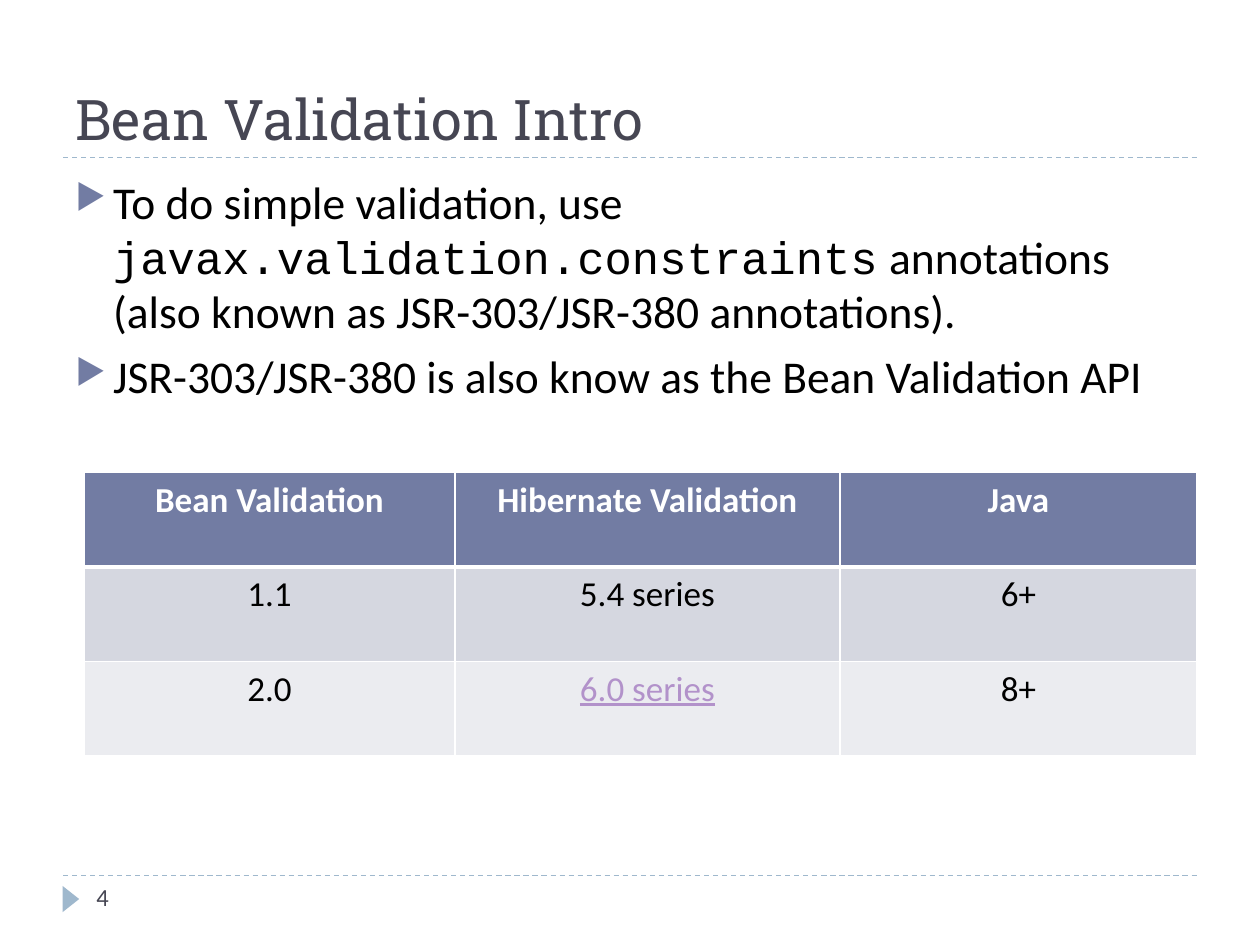
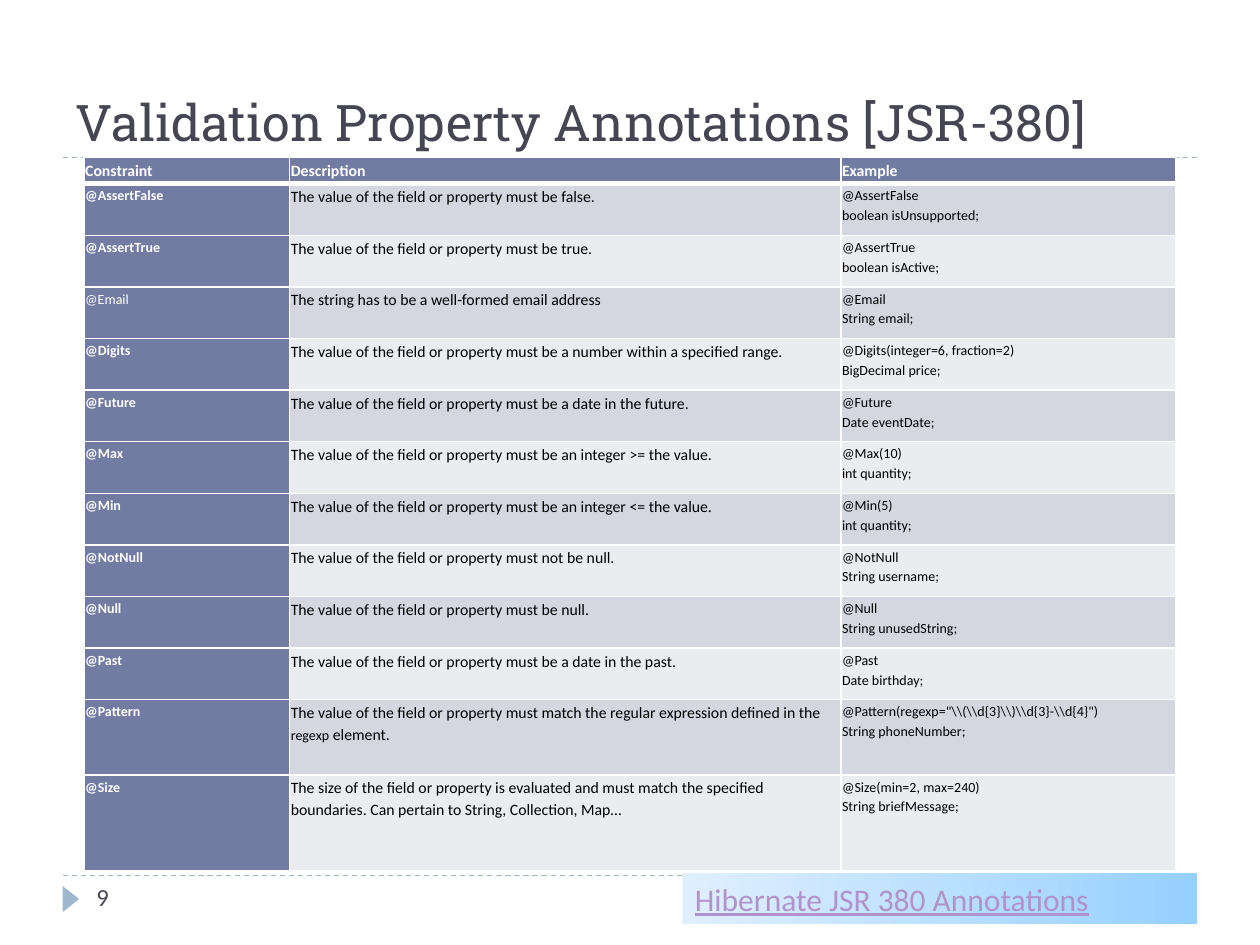
from lxml import etree
from pptx import Presentation
from pptx.dml.color import RGBColor
from pptx.enum.dml import MSO_LINE
from pptx.enum.shapes import MSO_CONNECTOR, MSO_SHAPE
from pptx.enum.text import MSO_ANCHOR, PP_ALIGN
from pptx.oxml.ns import qn
from pptx.util import Pt

STRAIGHT = MSO_CONNECTOR.STRAIGHT
DASH = MSO_LINE.DASH
TRIANGLE, RECTANGLE = MSO_SHAPE.ISOSCELES_TRIANGLE, MSO_SHAPE.RECTANGLE
TOP, MIDDLE, BOTTOM = MSO_ANCHOR.TOP, MSO_ANCHOR.MIDDLE, MSO_ANCHOR.BOTTOM
LEFT, CENTER = PP_ALIGN.LEFT, PP_ALIGN.CENTER

WHITE = RGBColor(0xFF, 0xFF, 0xFF)
BLACK = RGBColor(0x00, 0x00, 0x00)
SLATE = RGBColor(0x46, 0x46, 0x53)
INDIGO = RGBColor(0x72, 0x7C, 0xA3)
STEEL = RGBColor(0x9F, 0xB8, 0xCD)
LILAC = RGBColor(0xB2, 0x92, 0xCA)
BANDS = (RGBColor(0xD5, 0xD7, 0xE0), RGBColor(0xEB, 0xEC, 0xF0))
PALE_SKY = RGBColor(0xE0, 0xEF, 0xFF)
SKY = RGBColor(0x96, 0xD0, 0xFF)

# Text formats
BODY = {"name": "Calibri", "size": Pt(26), "color": BLACK}
CODE = BODY | {"name": "Courier New"}
NUMBER = BODY | {"size": Pt(14), "color": SLATE}
TITLE = {"name": "Roboto Slab", "size": Pt(32), "color": SLATE}
LONG_TITLE = TITLE | {"size": Pt(28.8)}
VERSION = BODY | {"size": Pt(20)}
VERSION_HEAD = VERSION | {"bold": True, "color": WHITE}
VERSION_LINK = VERSION | {"underline": True, "color": LILAC}
BANNER_LINK = VERSION_LINK | {"size": Pt(18)}
DESCRIPTION = BODY | {"size": Pt(9)}
CONSTRAINT_HEAD = DESCRIPTION | {"bold": True, "color": WHITE}
EXAMPLE = BODY | {"size": Pt(8)}
CONSTRAINT = EXAMPLE | {"bold": True, "color": WHITE}
CONSTRAINT_PLAIN = CONSTRAINT | {"bold": False}

# Paragraph formats
BULLET_SPACING = {"space_before": Pt(6)}
CENTERED = {"alignment": CENTER}
EXAMPLE_SPACING = {"line_spacing": 1.15}
CELL_SPACING = EXAMPLE_SPACING | {"space_after": Pt(10)}

# Content of the introduction
INTRO_BULLETS = [
    [("To do simple validation, use ", BODY),
     ("javax.validation.constraints", CODE),
     (" annotations (also known as JSR-303/JSR-380 annotations).", BODY)],
    [("JSR-303/JSR-380 is also know as the Bean Validation API", BODY)],
]
VERSION_HEADINGS = ["Bean Validation", "Hibernate Validation", "Java"]
VERSIONS = [
    [("1.1", VERSION), ("5.4 series", VERSION), ("6+", VERSION)],
    [("2.0", VERSION), ("6.0 series", VERSION_LINK), ("8+", VERSION)],
]
VERSION_WIDTHS = [212, 220, 204]
VERSION_HEIGHTS = [54] * 3

# Content of the annotation list: constraint, description, example lines
CONSTRAINT_HEADINGS = ["Constraint", "Description", "Example"]
MUST_BE = "The value of the field or property must "
CONSTRAINTS = [
    ("@AssertFalse", MUST_BE + "be false.", "@AssertFalse", "boolean isUnsupported;"),
    ("@AssertTrue", MUST_BE + "be true.", "@AssertTrue", "boolean isActive;"),
    ("@Email", "The string has to be a well-formed email address",
     "@Email", "String email;"),
    ("@Digits", MUST_BE + "be a number within a specified range.",
     "@Digits(integer=6, fraction=2)", "BigDecimal price;"),
    ("@Future", MUST_BE + "be a date in the future.", "@Future", "Date eventDate;"),
    ("@Max", MUST_BE + "be an integer >= the value.", "@Max(10)", "int quantity;"),
    ("@Min", MUST_BE + "be an integer <= the value.", "@Min(5)", "int quantity;"),
    ("@NotNull", MUST_BE + "not be null.", "@NotNull", "String username;"),
    ("@Null", MUST_BE + "be null.", "@Null", "String unusedString;"),
    ("@Past", MUST_BE + "be a date in the past.", "@Past", "Date birthday;"),
    ("@Pattern", MUST_BE + "match the regular expression defined in the regexp element.",
     r'@Pattern(regexp="\\(\\d{3}\\)\\d{3}-\\d{4}")', "String phoneNumber;"),
    ("@Size", "The size of the field or property is evaluated and must match the "
     "specified boundaries. Can pertain to String, Collection, Map…",
     "@Size(min=2, max=240)", "String briefMessage;"),
]
NOT_BOLD = "@Email"
SMALL_WORD = "regexp"
CONSTRAINT_WIDTHS = [117.5, 315, 191.5]
CONSTRAINT_HEIGHTS = [15] + [29.5] * 10 + [43, 55]

# Shared layout
MARGIN, CONTENT_WIDTH = 36, 648
TABLE_LEFT = 48
TITLE_RULE, FOOTER_RULE = 90, 500.4


def set_all(target, formats):
    for attribute, value in formats.items():
        if attribute == "color":
            target.color.rgb = value
        else:
            setattr(target, attribute, value)


def write(frame, paragraphs, formats):
    """Fill a text frame; each paragraph is a list of (text, font format)."""
    for index, runs in enumerate(paragraphs):
        paragraph = frame.add_paragraph() if index else frame.paragraphs[0]
        set_all(paragraph, {"alignment": LEFT} | formats)
        for text, font in runs:
            run = paragraph.add_run()
            run.text = text
            set_all(run.font, font)


def add_text(slide, box, paragraphs, anchor=TOP, formats={}):
    frame = slide.shapes.add_textbox(*map(Pt, box)).text_frame
    set_all(frame, {"word_wrap": True, "vertical_anchor": anchor})
    write(frame, paragraphs, formats)
    return frame


def add_bullet(paragraph):
    properties = paragraph._p.get_or_add_pPr()
    properties.set("marL", str(Pt(21.6)))
    properties.set("indent", str(-Pt(21.6)))
    color = etree.SubElement(properties, qn("a:buClr"))
    etree.SubElement(color, qn("a:srgbClr"), val=str(INDIGO))
    etree.SubElement(properties, qn("a:buSzPct"), val="76000")
    etree.SubElement(properties, qn("a:buChar"), char="▶")


def add_rule(slide, top):
    rule = slide.shapes.add_connector(
        STRAIGHT, Pt(MARGIN), Pt(top), Pt(MARGIN + CONTENT_WIDTH), Pt(top))
    set_all(rule.line, {"color": STEEL, "width": Pt(0.75), "dash_style": DASH})
    etree.SubElement(rule._element.spPr, qn("a:effectLst"))


def add_base_slide(presentation, title, title_format, number):
    slide = presentation.slides.add_slide(presentation.slide_layouts[6])
    for top in (FOOTER_RULE, TITLE_RULE):
        add_rule(slide, top)
    marker = slide.shapes.add_shape(TRIANGLE, Pt(33), Pt(509), Pt(15), Pt(9.5))
    marker.rotation = 90
    marker.shadow.inherit = False
    marker.fill.solid()
    marker.fill.fore_color.rgb = STEEL
    marker.line.fill.background()
    add_text(slide, (MARGIN, 12, CONTENT_WIDTH, 78), [[(title, title_format)]], BOTTOM)
    add_text(slide, (TABLE_LEFT, FOOTER_RULE, 156, 29), [[(number, NUMBER)]])
    return slide


def style_cell(cell, fill, top_width, bottom_width):
    properties = cell._tc.get_or_add_tcPr()
    for side, width in (("L", 1), ("R", 1), ("T", top_width), ("B", bottom_width)):
        border = etree.SubElement(properties, qn("a:ln" + side), w=str(Pt(width)))
        solid = etree.SubElement(border, qn("a:solidFill"))
        etree.SubElement(solid, qn("a:srgbClr"), val=str(WHITE))
    cell.fill.solid()
    cell.fill.fore_color.rgb = fill


def add_grid(slide, top, widths, heights, first_column):
    """Add a table with a coloured head row and banded rows below."""
    table = slide.shapes.add_table(
        len(heights), len(widths), Pt(TABLE_LEFT), Pt(top),
        Pt(sum(widths)), Pt(sum(heights))).table
    set_all(table, {"first_row": True, "first_col": first_column, "horz_banding": True})
    for column, width in zip(table.columns, widths):
        column.width = Pt(width)
    for row_index, (row, height) in enumerate(zip(table.rows, heights)):
        row.height = Pt(height)
        for column_index, cell in enumerate(row.cells):
            is_head = row_index == 0 or (first_column and column_index == 0)
            style_cell(cell, INDIGO if is_head else BANDS[(row_index - 1) % 2],
                       3 if row_index == 1 else 1, 3 if row_index == 0 else 1)
    return table


def add_intro_slide(presentation):
    slide = add_base_slide(presentation, "Bean Validation Intro", TITLE, "4")
    frame = add_text(slide, (MARGIN, 96, CONTENT_WIDTH, 389), INTRO_BULLETS,
                     formats=BULLET_SPACING)
    for paragraph in frame.paragraphs:
        add_bullet(paragraph)

    # Version table
    table = add_grid(slide, 270, VERSION_WIDTHS, VERSION_HEIGHTS, False)
    head = [(heading, VERSION_HEAD) for heading in VERSION_HEADINGS]
    for row, contents in zip(table.rows, [head] + VERSIONS):
        for cell, content in zip(row.cells, contents):
            write(cell.text_frame, [[content]], CENTERED)


def description_runs(text):
    before, word, after = text.partition(SMALL_WORD)
    runs = [(before, DESCRIPTION), (word, EXAMPLE), (after, DESCRIPTION)]
    return [run for run in runs if run[0]]


def add_annotations_slide(presentation):
    slide = add_base_slide(presentation, "Validation Property Annotations [JSR-380]",
                           LONG_TITLE, "9")

    # Constraint table
    table = add_grid(slide, TITLE_RULE, CONSTRAINT_WIDTHS, CONSTRAINT_HEIGHTS, True)
    margins = dict.fromkeys(
        ("margin_left", "margin_right", "margin_top", "margin_bottom"), Pt(0.7))
    for cell in table.iter_cells():
        set_all(cell, margins)
    for cell, heading in zip(table.rows[0].cells, CONSTRAINT_HEADINGS):
        write(cell.text_frame, [[(heading, CONSTRAINT_HEAD)]], CELL_SPACING)
    for row_index, (name, description, *example) in enumerate(CONSTRAINTS, 1):
        frames = [cell.text_frame for cell in table.rows[row_index].cells]
        name_format = CONSTRAINT_PLAIN if name == NOT_BOLD else CONSTRAINT
        write(frames[0], [[(name, name_format)]], CELL_SPACING)
        write(frames[1], [description_runs(description)], CELL_SPACING)
        write(frames[2], [[(line, EXAMPLE)] for line in example], EXAMPLE_SPACING)

    # Reference banner
    banner = slide.shapes.add_shape(RECTANGLE, Pt(390), Pt(499), Pt(294), Pt(29))
    banner.shadow.inherit = False
    banner.line.fill.background()
    banner.fill.gradient()
    banner.fill.gradient_angle = 0
    for stop, color in zip(banner.fill.gradient_stops, (PALE_SKY, SKY)):
        stop.color.rgb = color
    set_all(banner.text_frame, {"word_wrap": True, "vertical_anchor": MIDDLE})
    write(banner.text_frame, [[("Hibernate JSR 380 Annotations", BANNER_LINK)]], {})


def main():
    presentation = Presentation()
    presentation.slide_width, presentation.slide_height = Pt(720), Pt(540)
    add_intro_slide(presentation)
    add_annotations_slide(presentation)
    presentation.save("out.pptx")


if __name__ == "__main__":
    main()
